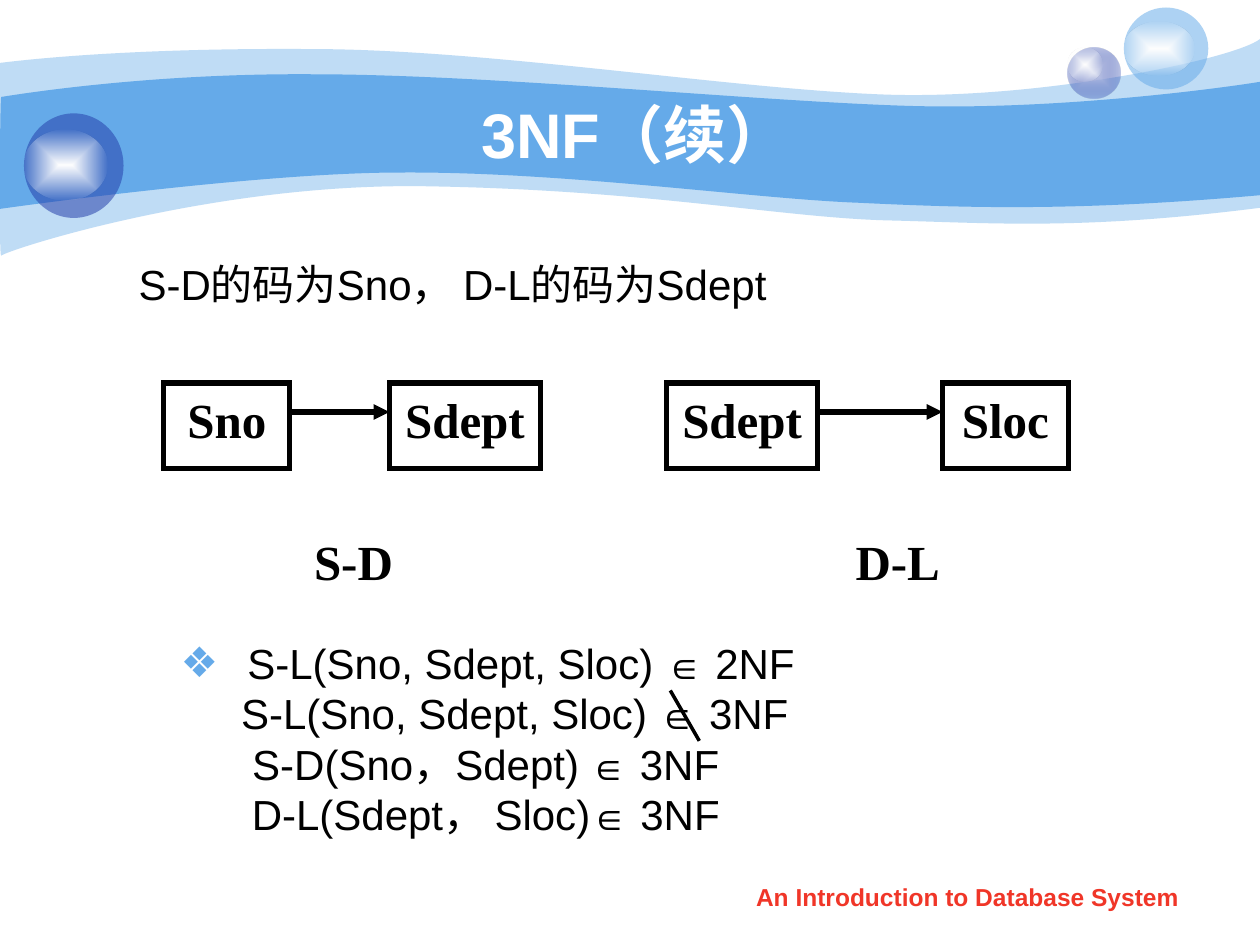
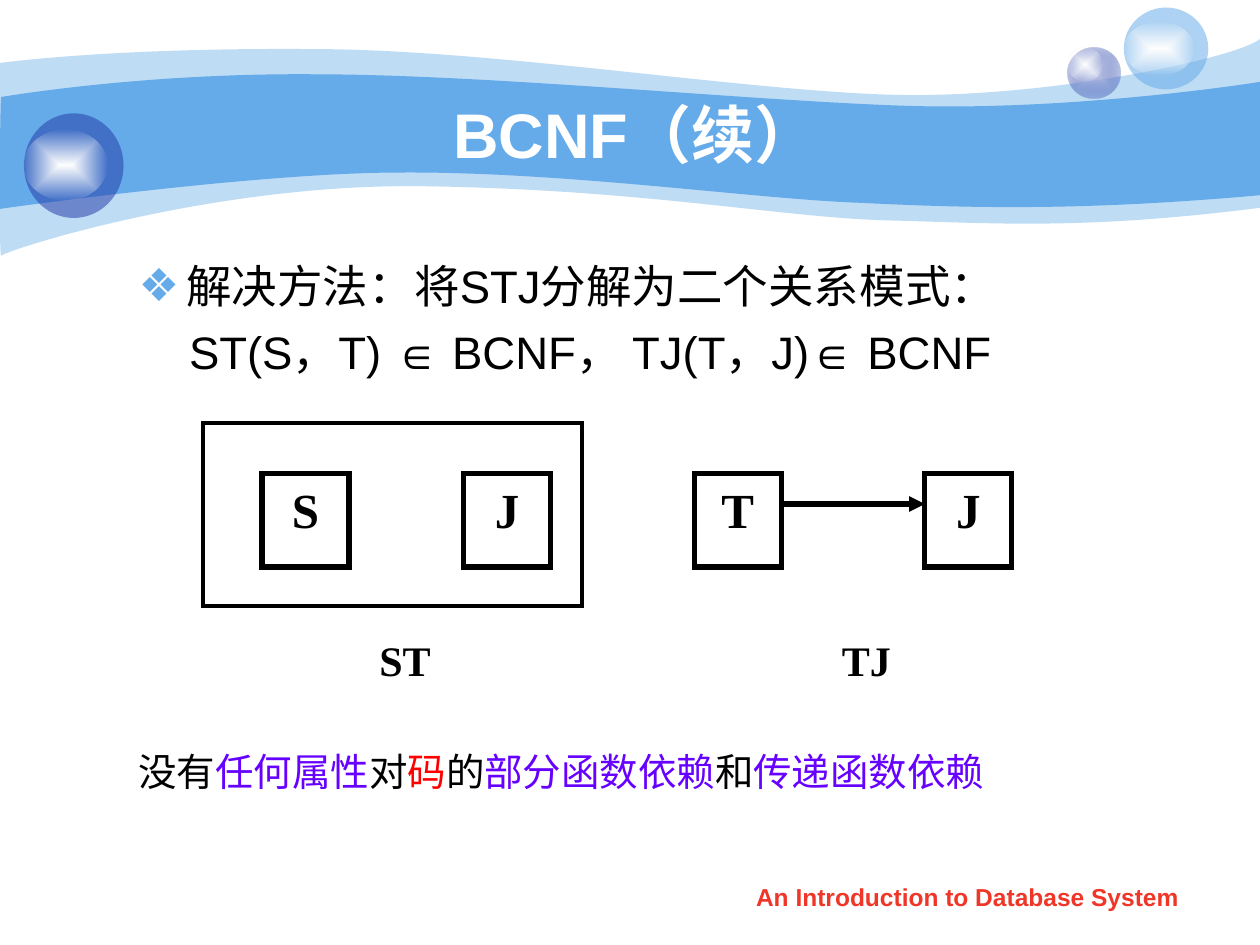
"""Build two slides on normal forms: 3NF and BCNF."""
from lxml import etree
from pptx import Presentation
from pptx.dml.color import RGBColor
from pptx.enum.shapes import MSO_CONNECTOR, MSO_SHAPE
from pptx.enum.text import MSO_ANCHOR, MSO_AUTO_SIZE, PP_ALIGN
from pptx.oxml.ns import qn
from pptx.util import Inches, Pt

LINE = MSO_CONNECTOR.STRAIGHT
RECT, OVAL = MSO_SHAPE.RECTANGLE, MSO_SHAPE.OVAL
TOP, MID = MSO_ANCHOR.TOP, MSO_ANCHOR.MIDDLE
FIXED = MSO_AUTO_SIZE.NONE
MIDDLE = PP_ALIGN.CENTER
BLACK = RGBColor(0x00, 0x00, 0x00)
WHITE = RGBColor(0xFF, 0xFF, 0xFF)
BLUE = RGBColor(0x65, 0xAA, 0xE9)
NAVY = RGBColor(0x23, 0x3D, 0xA9)
PALE = RGBColor(0xC7, 0xCE, 0xE9)
CORAL = RGBColor(0xF0, 0x36, 0x28)
RED = RGBColor(0xFF, 0x00, 0x00)
VIOLET = RGBColor(0x66, 0x00, 0xFF)
SANS, SERIF = "Arial", "Times New Roman"


def write(par, text, size, color=BLACK, bold=False, face=SANS):
    run = par.add_run()
    run.text = text
    run.font.size = Pt(size)
    run.font.name = face
    run.font.bold = bold
    run.font.color.rgb = color


def indent(par, left, hang=0, mark=None):
    props = par._p.get_or_add_pPr()
    props.set("marL", str(Inches(left)))
    props.set("indent", str(Inches(-hang)))
    if mark:
        tint = etree.SubElement(props, qn("a:buClr"))
        etree.SubElement(tint, qn("a:srgbClr"), val=str(BLUE))
        etree.SubElement(props, qn("a:buSzPct"), val="100000")
        etree.SubElement(props, qn("a:buFont"), typeface=SANS)
        etree.SubElement(props, qn("a:buChar"), char=mark)
    else:
        etree.SubElement(props, qn("a:buNone"))


prs = Presentation()
prs.slide_width, prs.slide_height = Inches(10), Inches(7.5)
layout = prs.slide_layouts[1]
for holder in list(layout.placeholders)[2:]:
    holder.element.getparent().remove(holder.element)
title = layout.placeholders[0]
title.left, title.top = Inches(1), Inches(0.75)
title.width, title.height = Inches(8.08), Inches(0.62)
title.text_frame.vertical_anchor = MID

slides = [prs.slides.add_slide(layout) for _ in range(2)]
third, boyce = slides

waves = [
    ((0, 0.5), 41, [
        (0.24, 0.47, 1.07, 0.38, 2.47, 0.39),
        (3.86, 0.39, 5.75, 0.7, 6.99, 0.75),
        (8.22, 0.8, 9.8, 0.47, 10, 0.31),
        (10, 1.65),
        (8.58, 1.83, 7.87, 1.77, 7.05, 1.75),
        (6.22, 1.73, 5.15, 1.51, 3.43, 1.48),
        (1.72, 1.44, 0.04, 1.99, 0.01, 2.03),
        (-0.01, 2.08, 0, 0.75, 0, 0.5)]),
    ((0.01, 0.77), 100, [
        (0.02, 0.77, 1.1, 0.58, 2.48, 0.59),
        (3.86, 0.59, 5.95, 0.8, 7.18, 0.84),
        (8.41, 0.88, 9.76, 0.69, 10, 0.65),
        (10, 1.55),
        (8.53, 1.68, 7.65, 1.65, 6.82, 1.61),
        (5.99, 1.58, 4.47, 1.36, 3.17, 1.37),
        (2.03, 1.37, -0.02, 1.66, -0.01, 1.66),
        (0, 1.66, 0, 0.77, 0.01, 0.77)]),
]
art = []
for start, alpha, parts in waves:
    pen = third.shapes.build_freeform(*map(Inches, start))
    for part in parts:
        nums = list(map(Inches, part))
        pen.add_line_segments(list(zip(nums[::2], nums[1::2])), close=False)
    pen.add_line_segments([], close=True)
    wave = pen.convert_to_shape()
    steps = iter(list(wave.element.iter(qn("a:lnTo"))))
    for part in parts:
        step = next(steps)
        if len(part) == 6:
            step.tag = qn("a:cubicBezTo")
            for _ in range(2):
                more = next(steps)
                step.append(more[0])
                more.getparent().remove(more)
    art.append((wave, [(BLUE, alpha)]))

glow = [(WHITE, 100), (WHITE, 0)]
discs = [
    ((8.47, 0.38, 0.42, 0.4), [(PALE, 100), (NAVY, 31)]),
    ((8.47, 0.38, 0.28, 0.27), glow),
    ((8.92, 0.06, 0.67, 0.65), [(BLUE, 53)]),
    ((8.92, 0.17, 0.56, 0.43), glow),
    ((0.19, 0.9, 0.79, 0.83), [(NAVY, 53)]),
    ((0.19, 1.03, 0.66, 0.56), glow),
]
for at, tones in discs:
    art.append((third.shapes.add_shape(OVAL, *map(Inches, at)), tones))

for spot, (shape, tones) in enumerate(art):
    shape.shadow.inherit = False
    shape.line.fill.background()
    if len(tones) == 1:
        shape.fill.solid()
        shape.fill.fore_color.rgb = tones[0][0]
    else:
        shape.fill.gradient()
        for stop, tone in zip(shape.fill.gradient_stops, tones):
            stop.color.rgb = tone[0]
        old = shape.element.find(".//" + qn("a:lin"))
        grad = old.getparent()
        grad.remove(old)
        way = etree.SubElement(grad, qn("a:path"), path="rect")
        etree.SubElement(way, qn("a:fillToRect"),
                         l="50000", t="50000", r="50000", b="50000")
    for node, tone in zip(shape.element.iter(qn("a:srgbClr")), tones):
        if tone[1] < 100:
            etree.SubElement(node, qn("a:alpha"), val=str(tone[1] * 1000))
    layout.shapes.element.insert(2 + spot, shape.element)

for slide, name in zip(slides, ("3NF（续）", "BCNF（续）")):
    par = slide.shapes.title.text_frame.paragraphs[0]
    par.alignment = MIDDLE
    write(par, name, 36, WHITE, True)
    foot = slide.shapes.add_textbox(
        Inches(5.71), Inches(6.98), Inches(3.94), Inches(0.35))
    foot.text_frame.word_wrap = True
    par = foot.text_frame.paragraphs[0]
    par.alignment = MIDDLE
    par.line_spacing = 0.9
    par.space_before = Pt(3.5)
    write(par, "An Introduction to Database System", 14, CORAL, True)

bodies = [
    (third, (0.5, 2, 9, 4.92), [
        (0.5, 0, None, 6, 24, [("S-D的码为Sno， D-L的码为Sdept", BLACK)])]),
    (boyce, (1, 2, 8.5, 4.5), [
        (0.38, 0.38, "❖", 6.5, 26,
         [("解决方法：将STJ分解为二个关系模式：", BLACK)]),
        (0.4, 0, None, 6.5, 26,
         [("ST(S，T) ∈ BCNF， TJ(T，J)∈ BCNF", BLACK)]),
        (0, 0, None, 211, 22, [
            ("没有", BLACK), ("任何属性", VIOLET), ("对", BLACK),
            ("码", RED), ("的", BLACK), ("部分函数依赖", VIOLET),
            ("和", BLACK), ("传递函数依赖", VIOLET)])]),
]
for slide, at, rows in bodies:
    body = slide.placeholders[1]
    body.left, body.top, body.width, body.height = map(Inches, at)
    frame = body.text_frame
    frame.auto_size = FIXED
    for row, (left, hang, mark, gap, size, runs) in enumerate(rows):
        par = frame.add_paragraph() if row else frame.paragraphs[0]
        par.space_before = Pt(gap)
        indent(par, left, hang, mark)
        for text, color in runs:
            write(par, text, size, color)

boxes = [
    (third, "Sno", 3, (1.3, 3.04, 1, 0.68)),
    (third, "Sdept", 3, (3.09, 3.04, 1.2, 0.68)),
    (third, "Sdept", 3, (5.29, 3.04, 1.2, 0.68)),
    (third, "Sloc", 3, (7.48, 3.04, 1, 0.68)),
    (boyce, "S", 3, (2.08, 3.76, 0.69, 0.74)),
    (boyce, "J", 3, (3.68, 3.76, 0.69, 0.74)),
    (boyce, "T", 3, (5.51, 3.76, 0.69, 0.74)),
    (boyce, "J", 3, (7.34, 3.76, 0.69, 0.74)),
    (boyce, None, 2.25, (1.61, 3.36, 3.01, 1.45)),
]
for slide, text, width, at in boxes:
    box = slide.shapes.add_shape(RECT, *map(Inches, at))
    box.shadow.inherit = False
    box.fill.background()
    box.line.color.rgb = BLACK
    box.line.width = Pt(width)
    stroke = box.element.find(".//" + qn("a:ln"))
    etree.SubElement(stroke, qn("a:miter"), lim="800000")
    if text:
        box.text_frame.vertical_anchor = TOP
        par = box.text_frame.paragraphs[0]
        par.alignment = MIDDLE
        write(par, text, 28, BLACK, True, SERIF)

labels = [
    (third, "S-D", 28, (2.3, 4.17, 1.01, 0.68)),
    (third, "D-L", 28, (6.68, 4.17, 0.89, 0.68)),
    (boyce, "ST", 24, (2.76, 4.99, 0.91, 0.74)),
    (boyce, "TJ", 24, (6.42, 4.99, 0.91, 0.74)),
]
for slide, text, size, at in labels:
    label = slide.shapes.add_textbox(*map(Inches, at))
    label.text_frame.word_wrap = True
    par = label.text_frame.paragraphs[0]
    par.alignment = MIDDLE
    write(par, text, size, BLACK, True, SERIF)

facts = third.shapes.add_textbox(
    Inches(0.98), Inches(5.01), Inches(5.75), Inches(1.7)).text_frame
facts.word_wrap = True
claims = [
    (0.56, 0.53, "❖", ("S-L(Sno, Sdept, Sloc) ", "∈", " 2NF")),
    (0.46, 0, None, ("S-L(Sno, Sdept, Sloc) ", "∈", " 3NF")),
    (0, 0, None, ("S-D(Sno，Sdept)", " ∈", " 3NF")),
    (0, 0, None, ("D-L(Sdept， Sloc)", "∈", " 3NF")),
]
for row, (left, hang, mark, claim) in enumerate(claims):
    par = facts.add_paragraph() if row else facts.paragraphs[0]
    par.alignment = MIDDLE
    indent(par, left, hang, mark)
    for text, size in zip(claim, (24, 22, 24)):
        write(par, text, size)

links = [
    (third, (2.3, 3.27, 3.09, 3.27), 3, True),
    (third, (6.49, 3.27, 7.48, 3.27), 3, True),
    (third, (5.32, 5.48, 5.55, 5.88), 2, False),
    (boyce, (6.19, 4, 7.34, 4), 3, True),
]
for slide, ends, width, tip in links:
    link = slide.shapes.add_connector(LINE, *map(Inches, ends))
    link.line.color.rgb = BLACK
    link.line.width = Pt(width)
    if tip:
        stroke = link.element.find(".//" + qn("a:ln"))
        etree.SubElement(stroke, qn("a:tailEnd"), type="triangle")
    etree.SubElement(link.element.spPr, qn("a:effectLst"))

prs.save("out.pptx")
